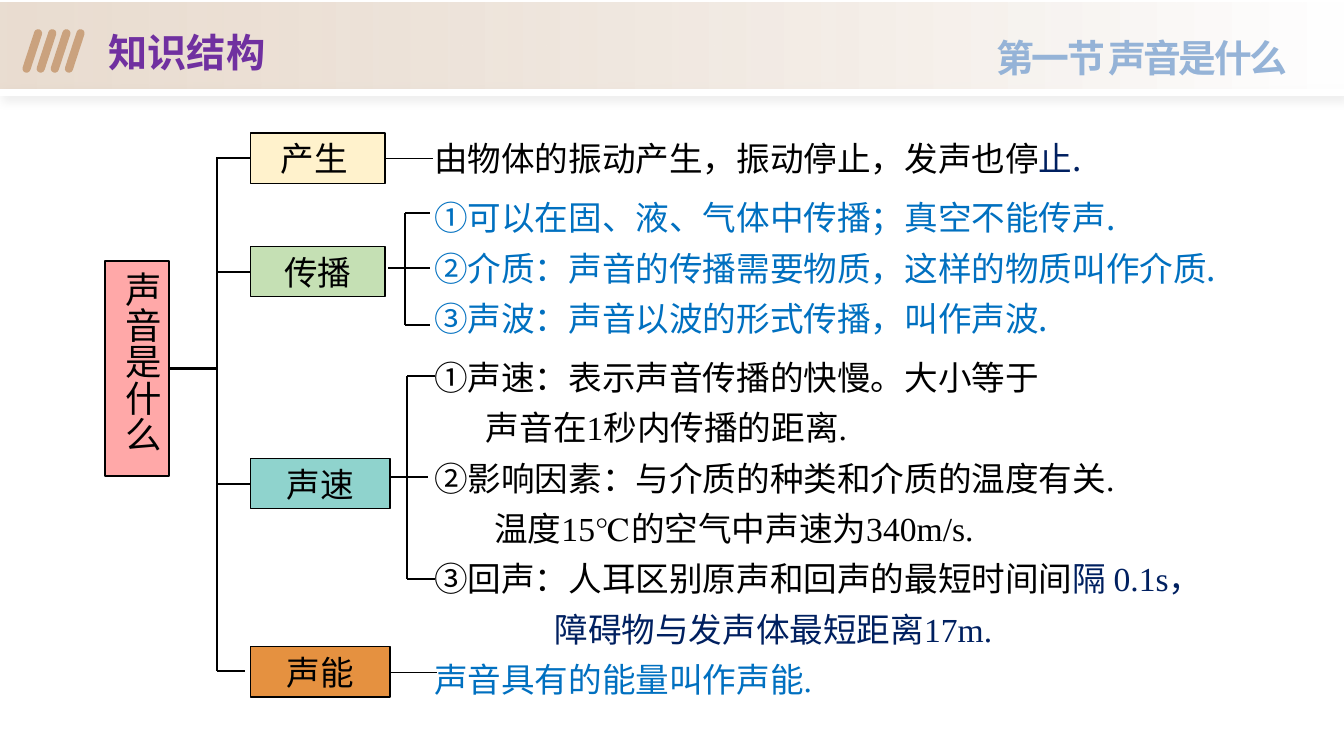
from pptx import Presentation
from pptx import util as u
from pptx.dml import color
from pptx.enum import shapes, text
from pptx.oxml import parse_xml
from pptx.oxml.ns import nsdecls, qn

SANS, SERIF = "Noto Sans CJK SC", "Times New Roman"
BLACK, NAVY, BLUE = "000000", "002060", "0070C0"


def rgb(value):
    """Turn a hex string into a colour."""
    return color.RGBColor.from_string(value)


def add_box(s, box, fill, line=None, weight=1, kind=shapes.MSO_SHAPE.RECTANGLE):
    """Draw a filled shape without a shadow."""
    sp = s.shapes.add_shape(kind, *map(u.Pt, box))
    sp.shadow.inherit = False
    sp.fill.solid()
    sp.fill.fore_color.rgb = rgb(fill)
    if line:
        sp.line.color.rgb = rgb(line)
        sp.line.width = u.Pt(weight)
    else:
        sp.line.fill.background()
    return sp


def add_run(p, words, size, hue=BLACK, font=SANS, bold=False, spacing=None):
    """Append one formatted run to a paragraph."""
    r = p.add_run()
    r.text = words
    r.font.size = u.Pt(size)
    r.font.bold = bold
    r.font.color.rgb = rgb(hue)
    r.font.name = font
    rPr = r.font._element
    rPr.append(parse_xml(f'<a:ea {nsdecls("a")} typeface="{SANS}"/>'))
    if spacing:
        rPr.set("spc", str(spacing))


def add_text(s, box):
    """Add a wrapping text box and return its frame."""
    tf = s.shapes.add_textbox(*map(u.Pt, box)).text_frame
    tf.word_wrap = True
    return tf


def add_line(s, x1, y1, x2, y2, weight=1.5, start=None, end=None):
    """Draw a straight line, joined to (shape, site) pairs where given."""
    c = s.shapes.add_connector(shapes.MSO_CONNECTOR.STRAIGHT, *map(u.Pt, (x1, y1, x2, y2)))
    c.line.color.rgb = rgb(BLACK)
    c.line.width = u.Pt(weight)
    c._element.spPr.append(parse_xml(f'<a:effectLst {nsdecls("a")}/>'))
    if start:
        c.begin_connect(*start)
    if end:
        c.end_connect(*end)


def add_header(s, x, y, w, h):
    """Draw the banner with its slanted bars, title and section name."""
    strip = add_box(s, (x, y + h, w, 5), "FFFFFF")
    old = strip._element.spPr.find(qn("a:effectLst"))
    old.append(parse_xml(
        f'<a:outerShdw {nsdecls("a")} blurRad="{u.Pt(8)}" dist="{u.Pt(3)}" dir="2700000" '
        'algn="tl" rotWithShape="0"><a:srgbClr val="000000"><a:alpha val="10000"/>'
        '</a:srgbClr></a:outerShdw>'))
    banner = add_box(s, (x, y, w, h), "FFFFFF")
    banner.fill.gradient()
    banner.fill.gradient_angle = 0
    for stop, hue in zip(banner.fill.gradient_stops, ("DECAB7", "FFFFFF")):
        stop.color.rgb = rgb(hue)
    first = next(banner._element.spPr.iter(qn("a:srgbClr")))
    first.append(parse_xml(f'<a:alpha {nsdecls("a")} val="63000"/>'))
    for i in range(4):
        bar = add_box(s, (x + 20.2 + 10.1 * i, y + 18.7, 5.8, 32.4), "CAA27E",
                      kind=shapes.MSO_SHAPE.ROUNDED_RECTANGLE)
        bar.adjustments[0] = 0.5
        bar.rotation = 18.1
    title = add_text(s, (x + 70.5, y + 15, 202, 41)).paragraphs[0]
    add_run(title, "知识结构", 28, "7030A0", bold=True)
    section = add_text(s, (x + 480, y + 20, 446.5, 40)).paragraphs[0]
    section.alignment = text.PP_ALIGN.RIGHT
    add_run(section, "第一节 声音是什么", 27, "95B3D7", bold=True, spacing=-180)


def add_label(s, box, words, fill, size=24, weight=1, vertical=False):
    """Draw a bordered topic box."""
    sp = add_box(s, box, fill, BLACK, weight)
    tf = sp.text_frame
    tf.word_wrap = True
    tf.vertical_anchor = text.MSO_ANCHOR.TOP if vertical else text.MSO_ANCHOR.MIDDLE
    if vertical:
        tf._txBody.bodyPr.set("vert", "eaVert")
    p = tf.paragraphs[0]
    p.alignment = text.PP_ALIGN.CENTER
    add_run(p, words, size)
    return sp


def add_bracket(s, x, top, bottom, right, middle, left, tip):
    """Draw a bracket whose middle line reaches back to a topic box."""
    add_line(s, x, top, x, bottom)
    for y in (top, bottom):
        add_line(s, x, y, right, y)
    add_line(s, left, middle, tip, middle)


def add_tree(s, x, y):
    """Draw the root, the topics and the lines between them."""
    root = add_label(s, (x, y + 91.5, 46, 153.5), "声音是什么", "FFA8A8", 26, 1.5, True)
    topics = [("产生 ", 0, 96, "FFF2CC"), ("传播", 81, 96, "C5E0B4"),
              ("声速", 232.5, 99.5, "8FD3CD"), ("声能", 367, 99.5, "E59140")]
    boxes = [add_label(s, (x + 104, y + dy, w, 36), words, fill)
             for words, dy, w, fill in topics]
    trunk = x + 80
    add_line(s, trunk, y + 17.5, trunk, y + 384)
    add_line(s, x + 46, y + 168.25, trunk, y + 168.25, start=(root, 3))
    for box, (_, dy, _, _) in zip(boxes[:3], topics):
        add_line(s, trunk, y + dy + 18, x + 104, y + dy + 18, end=(box, 1))
    add_line(s, trunk, y + 384, x + 100, y + 384)
    for box, (_, dy, w, _), tip in ((boxes[0], topics[0], 234), (boxes[3], topics[3], 237.5)):
        add_line(s, x + 104 + w, y + dy + 18, x + tip, y + dy + 18, 0.5, start=(box, 3))
    add_bracket(s, x + 214.5, y + 57, y + 137, x + 232.5, y + 96.5, x + 202, x + 232.5)
    add_bracket(s, x + 216, y + 173.5, y + 318.5, x + 235.5, y + 245.5, x + 203, x + 231)


def add_notes(s, box):
    """Write the explanations, each as (font, indent, space after, runs)."""
    notes = [
        (SANS, 0, 6, [("由物体的振动产生，振动停止，发声也停", BLACK), ("止.", NAVY)]),
        (SANS, 0, 0, [("①可以在固、液、气体中传播；真空不能传声.", BLUE)]),
        (SANS, 0, 0, [("②介质：声音的传播需要物质，这样的物质叫作介质.", BLUE)]),
        (SANS, 0, 6, [("③声波：声音以波的形式传播，叫作声波.", BLUE)]),
        (SERIF, 0, 0, [("①声速：表示声音传播的快慢。大小等于", BLACK)]),
        (SERIF, 37, 0, [("声音在1秒内传播的距离.", BLACK)]),
        (SERIF, 0, 0, [("②影响因素：与介质的种类和介质的温度有关.", BLACK)]),
        (SERIF, 43, 0, [("温度15℃的空气中声速为340m/s.", BLACK)]),
        (SERIF, 0, 0, [("③回声：人耳区别原声和回声的最短时间间", BLACK), ("隔 0.1s，", NAVY)]),
        (SERIF, 86, 0, [("障碍物与发声体最短距离17m.", NAVY)]),
        (SERIF, 0, 0, [("声音具有的能量叫作声能.", BLUE)]),
    ]
    tf = add_text(s, box)
    for i, (font, indent, after, runs) in enumerate(notes):
        p = tf.add_paragraph() if i else tf.paragraphs[0]
        p.line_spacing = u.Pt(36)
        p.space_after = u.Pt(after)
        if indent:
            p._p.get_or_add_pPr().set("indent", str(u.Pt(indent)))
        for words, hue in runs:
            add_run(p, words, 24, hue, font)


def main():
    """Build the slide and save it."""
    prs = Presentation()
    prs.slide_width, prs.slide_height = u.Pt(960), u.Pt(540)
    s = prs.slides.add_slide(prs.slide_layouts[6])
    add_header(s, 0, 1.5, 960, 62)
    add_notes(s, (303, 88, 631, 416))
    add_tree(s, 75, 95)
    prs.save("out.pptx")


if __name__ == "__main__":
    main()
